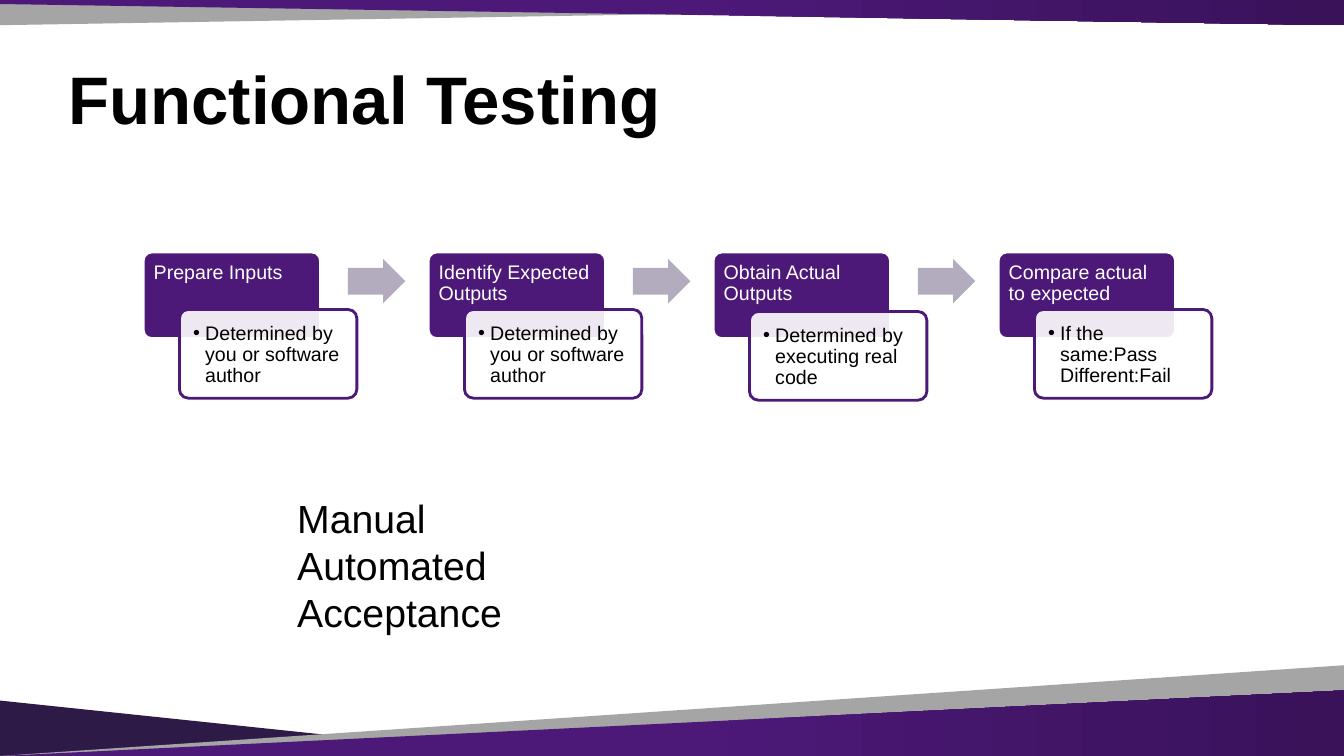
from lxml import etree
from pptx import Presentation
from pptx.dml.color import RGBColor
from pptx.enum import shapes, text
from pptx.oxml import ns
from pptx.util import Inches, Pt

PURPLE = RGBColor(0x4D, 0x19, 0x79)
DEEP_PURPLE = RGBColor(0x39, 0x12, 0x5A)
NAVY = RGBColor(0x2E, 0x1A, 0x47)
GREY = RGBColor(0xA5, 0xA5, 0xA5)
ARROW_GREY = RGBColor(0xB2, 0xAC, 0xBE)
WHITE = RGBColor(0xFF, 0xFF, 0xFF)
BLACK = RGBColor(0, 0, 0)
WIDTH, HEIGHT = 13.33, 7.5

BANDS = [
    ([(0, 6.95), (0, 7.5), (5.24, 7.5)], NAVY),
    ([(WIDTH, 6.6), (0, 7.5), (WIDTH, 7.5)], GREY),
    ([(WIDTH, 6.85), (0, 7.5), (WIDTH, 7.5)], None),
    ([(0, 0), (WIDTH, 0), (WIDTH, 0.03), (0, 0.25)], GREY),
    ([(0, 0), (0, 0.04), (WIDTH, 0.25), (WIDTH, 0)], None),
]
STEPS = [
    ("Prepare Inputs", "Determined by you or software author", 0),
    ("Identify Expected Outputs", "Determined by you or software author", 0),
    ("Obtain Actual Outputs", "Determined by executing real code", 0.02),
    ("Compare actual to expected", "If the same:Pass Different:Fail", 0),
]
KINDS = ["Manual", "Automated", "Acceptance"]


def set_values(target, values):
    for name, value in values.items():
        setattr(target, name, value)


def style_frame(frame, insets, anchor=text.MSO_ANCHOR.TOP):
    left, top, right, bottom = map(Inches, insets)
    set_values(frame, dict(
        word_wrap=True, auto_size=text.MSO_AUTO_SIZE.NONE,
        vertical_anchor=anchor, margin_left=left, margin_top=top,
        margin_right=right, margin_bottom=bottom))


def write(para, words, size, color, bold=False, spacing=1.0):
    para.text = words
    set_values(para, dict(alignment=text.PP_ALIGN.LEFT, line_spacing=spacing))
    set_values(para.font, dict(name="Arial", size=Pt(size), bold=bold))
    para.font.color.rgb = color


def add_bullet(para, indent):
    props = para._p.get_or_add_pPr()
    props.set("marL", str(Inches(indent)))
    props.set("indent", str(-Inches(indent)))
    etree.SubElement(props, ns.qn("a:buFont")).set("typeface", "Arial")
    etree.SubElement(props, ns.qn("a:buChar")).set("char", "•")


def add_block(page, kind, box, fill, line=None):
    """Add a shadowless shape, outlined only when a line colour is given."""
    block = page.shapes.add_shape(kind, *map(Inches, box))
    block.shadow.inherit = False
    block.fill.solid()
    block.fill.fore_color.rgb = fill
    if line is None:
        block.line.fill.background()
    else:
        block.line.color.rgb = line
        block.line.width = Pt(2)
    return block


def add_bands(page):
    for points, color in BANDS:
        start, *others = [(Inches(x), Inches(y)) for x, y in points]
        builder = page.shapes.build_freeform(*start)
        builder.add_line_segments(others, close=True)
        band = builder.convert_to_shape()
        band.shadow.inherit = False
        band.line.fill.background()
        if color is not None:
            band.fill.solid()
            band.fill.fore_color.rgb = color
            continue
        band.fill.gradient()
        band.fill.gradient_angle = 0
        stops = zip(band.fill.gradient_stops, [(0.51, PURPLE), (1, DEEP_PURPLE)])
        for stop, (position, shade) in stops:
            stop.position = position
            stop.color.rgb = shade


def add_title(page, box):
    title = page.shapes.title
    set_values(title, dict(zip(("left", "top", "width", "height"), map(Inches, box))))
    style_frame(title.text_frame, (0.1, 0.05, 0.1, 0.05), text.MSO_ANCHOR.MIDDLE)
    write(title.text_frame.paragraphs[0], "Functional Testing", 48, BLACK, True, 0.9)


def add_step(page, left, top, label, detail, drop):
    """Add a purple card and the translucent detail card that overlaps it."""
    rounded = shapes.MSO_SHAPE.ROUNDED_RECTANGLE
    card = add_block(page, rounded, (left, top, 1.76, 0.86), PURPLE, WHITE)
    note = add_block(page, rounded, (left + 0.36, top + 0.57 + drop, 1.76, 0.88),
                     WHITE, PURPLE)
    for block in (card, note):
        block.adjustments[0] = 0.1

    style_frame(card.text_frame, (0.08, 0.08, 0.08, 0.06))
    write(card.text_frame.paragraphs[0], label, 14, WHITE, spacing=0.9)

    color = note.fill._xPr.find(".//" + ns.qn("a:srgbClr"))
    etree.SubElement(color, ns.qn("a:alpha")).set("val", "90000")
    style_frame(note.text_frame, (0.11, 0.11, 0.11, 0.11))
    para = note.text_frame.paragraphs[0]
    add_bullet(para, 0.12)
    write(para, detail, 14, BLACK, spacing=0.9)


def add_process(page, left, top, width):
    """Spread the steps so that the last card starts at left + width."""
    pitch = width / (len(STEPS) - 1)
    for index, step in enumerate(STEPS):
        x = left + index * pitch
        add_step(page, x, top, *step)
        if index < len(STEPS) - 1:
            arrow = add_block(page, shapes.MSO_SHAPE.RIGHT_ARROW,
                              (x + 2.03, top + 0.07, 0.57, 0.44), ARROW_GREY)
            arrow.adjustments[0] = 0.6


def add_kinds(page, box):
    frame = page.shapes.add_textbox(*map(Inches, box)).text_frame
    style_frame(frame, (0.1, 0.05, 0.1, 0.05))
    for index, kind in enumerate(KINDS):
        para = frame.add_paragraph() if index else frame.paragraphs[0]
        write(para, kind, 28, BLACK)


def main():
    deck = Presentation()
    deck.slide_width, deck.slide_height = Inches(WIDTH), Inches(HEIGHT)
    page = deck.slides.add_slide(deck.slide_layouts[5])
    add_bands(page)
    add_title(page, (0.58, 0.6, 6.29, 0.84))
    add_process(page, 1.42, 2.5, 8.48)
    add_kinds(page, (2.85, 4.85, 8.53, 1.6))
    deck.save("out.pptx")


if __name__ == "__main__":
    main()
